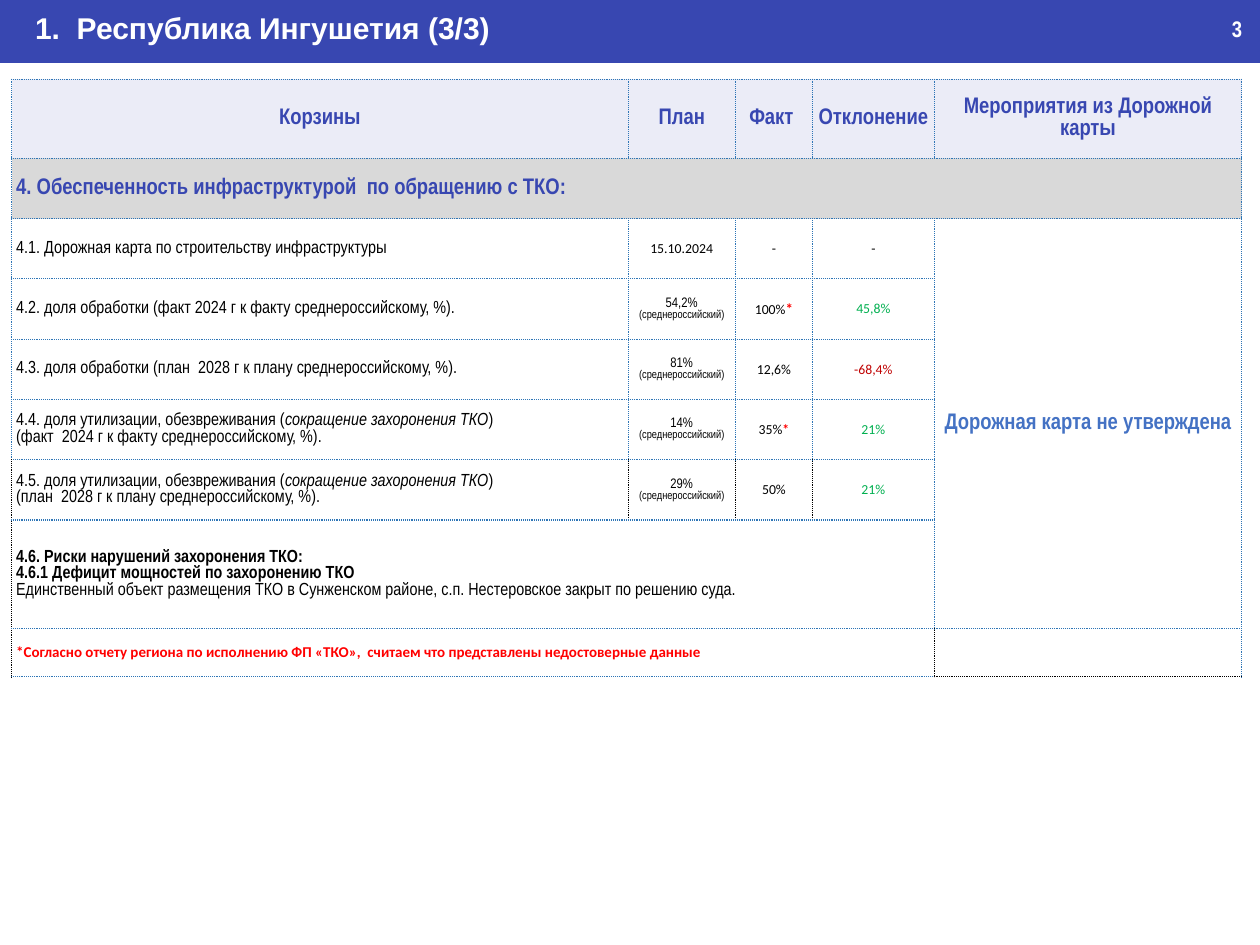
from lxml.etree import SubElement
from pptx import Presentation
from pptx.dml.color import RGBColor
from pptx.enum.shapes import MSO_SHAPE
from pptx.enum.text import MSO_ANCHOR, PP_ALIGN
from pptx.oxml.ns import qn
from pptx.util import Inches, Pt

BLUE, WHITE, BLACK = "3847B1", "FFFFFF", "000000"
RED, GREEN, DARK_RED = "FF0000", "00B050", "C00000"
BORDER, ACCENT = "2E75B6", "4472C4"
HEADER_FILL, SECTION_FILL = "EBECF7", "D9D9D9"
NARROW = "Arial Narrow"

COLUMN_WIDTHS = [6.85, 1.19, 0.86, 1.35, 3.42]
ROW_HEIGHTS = [0.88] + [0.67] * 6 + [1.21, 0.53]
HEADERS = ["Корзины", "План", "Факт ", "Отклонение", "Мероприятия из Дорожной карты"]
AVERAGE = ("(среднероссийский)", {"size": 9})


def recycling(period):
    return [["4." + period[0] + ". доля утилизации, обезвреживания (",
             ("сокращение захоронения ТКО", {"italic": True}),
             ")\n" + period[1]]]


# Basket text, plan, fact, mark after the fact, deviation, deviation colour
INDICATORS = [
    ("4.1. Дорожная карта по строительству инфраструктуры",
     "15.10.2024", "-", None, "-", BLACK),
    ("4.2. доля обработки (факт 2024 г к факту среднероссийскому, %).",
     "54,2%", "100%", 12, "45,8%", GREEN),
    ("4.3. доля обработки (план  2028 г к плану среднероссийскому, %).",
     "81%", "12,6%", None, "-68,4%", DARK_RED),
    (recycling(("4", "(факт  2024 г к факту среднероссийскому, %).")),
     "14%", "35%", 11, "21%", GREEN),
    (recycling(("5", "(план  2028 г к плану среднероссийскому, %).")),
     "29%", "50%", None, "21%", GREEN),
]
RISKS = [
    [("4.6. Риски нарушений захоронения ТКО:", {"bold": True})],
    [("4.6.1 Дефицит мощностей по захоронению ТКО", {"bold": True})],
    ["Единственный объект размещения ТКО в Сунженском районе, "
     "с.п. Нестеровское закрыт по решению суда."],
]
FOOTNOTE = ("*Согласно отчету региона по исполнению ФП «ТКО»,  "
            "считаем что представлены недостоверные данные")


def color(value):
    return RGBColor.from_string(value)


def add_run(paragraph, text, size=14, font=NARROW, fill=BLACK, bold=False, italic=False):
    for number, line in enumerate(text.split("\n")):
        if number:
            paragraph.add_line_break()
        run = paragraph.add_run()
        run.text = line
        run.font.size = Pt(size)
        run.font.name = font
        run.font.bold = bold
        run.font.italic = italic
        run.font.color.rgb = color(fill)


def write(frame, content, align=PP_ALIGN.LEFT, **style):
    """Write a string, or a list of paragraphs made of strings and (text, style) runs."""
    paragraphs = [[content]] if isinstance(content, str) else content
    for number, runs in enumerate(paragraphs):
        paragraph = frame.add_paragraph() if number else frame.paragraphs[0]
        paragraph.alignment = align
        for run in runs:
            text, changes = (run, {}) if isinstance(run, str) else run
            add_run(paragraph, text, **{**style, **changes})


def add_text_box(slide, left, top, width, height, text, indent=0.1, **style):
    box = slide.shapes.add_textbox(Inches(left), Inches(top), Inches(width), Inches(height))
    box.text_frame.word_wrap = True
    box.text_frame.margin_left = Inches(indent)
    write(box.text_frame, text, fill=WHITE, bold=True, **style)


def add_title_bar(slide, left, top, width, height):
    bar = slide.shapes.add_shape(MSO_SHAPE.RECTANGLE, Inches(left), Inches(top),
                                 Inches(width), Inches(height))
    bar.shadow.inherit = False
    bar.fill.solid()
    bar.fill.fore_color.rgb = color(BLUE)
    bar.line.fill.background()
    add_text_box(slide, left, top + 0.06, width, 0.5, "1.  Республика Ингушетия (3/3)",
                 indent=0.39, size=24, font="Arial")
    add_text_box(slide, left + width - 0.41, top + 0.12, 0.4, 0.4, "3", size=18)


def border_color(row, column, side):
    """Lower rows have black inner verticals; the last cell has a black base."""
    edge = column + (side == "R")
    vertical = side in "LR" and row >= 6 and (edge < 4 or (row == 8 and edge == 4))
    last_base = side == "B" and (row, column) == (8, 4)
    return BLACK if vertical or last_base else BORDER


def format_cell(cell, row, column):
    cell.vertical_anchor = MSO_ANCHOR.MIDDLE
    cell.margin_left = cell.margin_right = Inches(0.05)
    cell.margin_top = cell.margin_bottom = Inches(0.02)
    properties = cell._tc.get_or_add_tcPr()
    for side in "LRTB":
        line = SubElement(properties, qn("a:ln" + side), w=str(Pt(1)))
        solid = SubElement(line, qn("a:solidFill"))
        SubElement(solid, qn("a:srgbClr"), val=border_color(row, column, side))
        SubElement(line, qn("a:prstDash"), val="sysDot")
    if row < 2:
        cell.fill.solid()
        cell.fill.fore_color.rgb = color(SECTION_FILL if row else HEADER_FILL)
    else:
        cell.fill.background()


def add_indicator_table(slide, left, top, width, height):
    table = slide.shapes.add_table(len(ROW_HEIGHTS), len(COLUMN_WIDTHS), Inches(left),
                                   Inches(top), Inches(width), Inches(height)).table
    table.first_row = table.horz_banding = False
    for column, size in zip(table.columns, COLUMN_WIDTHS):
        column.width = Inches(size)
    for row, size in zip(table.rows, ROW_HEIGHTS):
        row.height = Inches(size)
    for row in range(len(ROW_HEIGHTS)):
        for column in range(len(COLUMN_WIDTHS)):
            format_cell(table.cell(row, column), row, column)
    for first, last in [((1, 0), (1, 4)), ((2, 4), (7, 4)), ((7, 0), (7, 3)), ((8, 0), (8, 3))]:
        table.cell(*first).merge(table.cell(*last))

    def fill_cell(row, column, content, **style):
        align = PP_ALIGN.CENTER if column or row == 0 else PP_ALIGN.LEFT
        write(table.cell(row, column).text_frame, content, align, **style)

    # Headings
    heading = {"size": 18, "bold": True}
    for column, text in enumerate(HEADERS):
        fill_cell(0, column, text, fill=BLUE, **heading)
    fill_cell(1, 0, "4. Обеспеченность инфраструктурой  по обращению с ТКО:", fill=BLUE, **heading)
    fill_cell(2, 4, "Дорожная карта не утверждена", fill=ACCENT, **heading)

    # Indicator rows
    figure = {"size": 11, "font": "Calibri"}
    for row, (basket, plan, fact, mark, deviation, tint) in enumerate(INDICATORS, start=2):
        fill_cell(row, 0, basket)
        if plan.endswith("%"):
            fill_cell(row, 1, [[plan], [AVERAGE]], size=11)
        else:
            fill_cell(row, 1, plan, **figure)
        star = [("*", {"size": mark, "fill": RED, "bold": True})] if mark else []
        fill_cell(row, 2, [[fact] + star], **figure)
        fill_cell(row, 3, deviation, fill=tint, **figure)

    # Risks and footnote
    fill_cell(7, 0, RISKS)
    fill_cell(8, 0, FOOTNOTE, size=12, font="Calibri", fill=RED, bold=True)


def main():
    presentation = Presentation()
    presentation.slide_width = Inches(14)
    presentation.slide_height = Inches(10.5)
    slide = presentation.slides.add_slide(presentation.slide_layouts[6])
    add_title_bar(slide, 0, 0, 14, 0.7)
    add_indicator_table(slide, 0.13, 0.88, sum(COLUMN_WIDTHS), sum(ROW_HEIGHTS))
    presentation.save("out.pptx")


if __name__ == "__main__":
    main()
